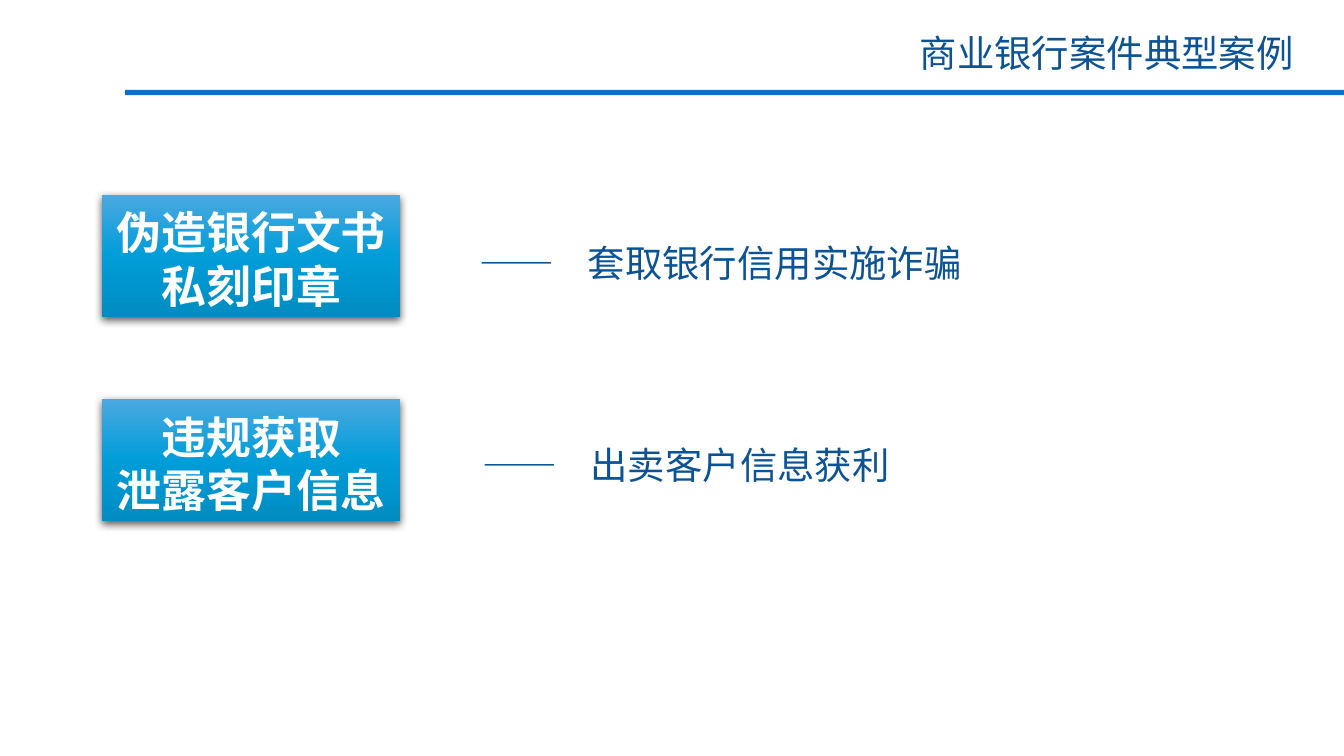
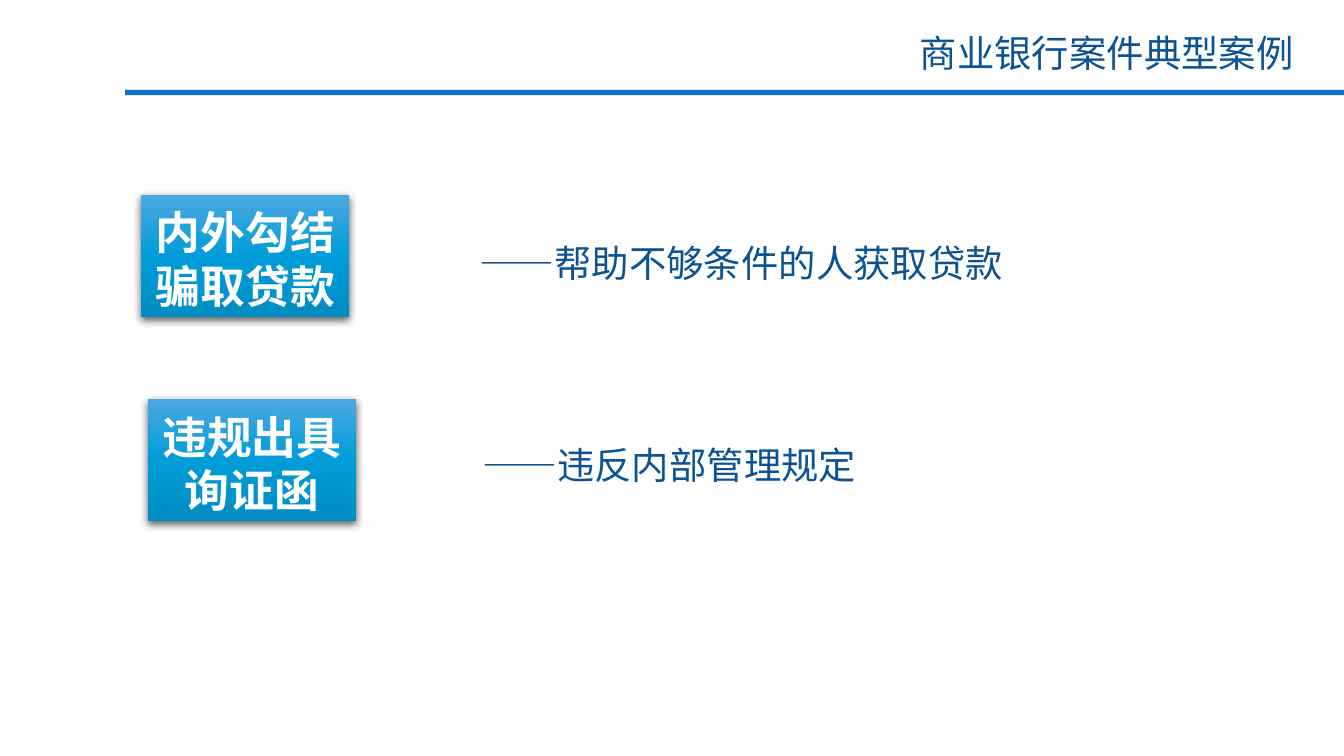
from pptx import Presentation
from pptx.dml.color import RGBColor
from pptx.enum.shapes import MSO_SHAPE
from pptx.enum.text import MSO_ANCHOR, PP_ALIGN
from pptx.oxml import parse_xml
from pptx.oxml.ns import nsdecls, qn
from pptx.util import Pt
from lxml.etree import SubElement

FONT = "Noto Sans CJK SC"
WHITE = "FFFFFF"
BAND_BLUE = "0F6FC6"
TEXT_BLUE = "0B5394"
GRADIENT = [(0, "4BA8E0"), (50, "009DD9"), (100, "008CC1")]

TITLE = "商业银行案件典型案例"
LINE_HEIGHT = 1.2
DASH_GAP = 58
CASE_HEIGHT = 65.5
CASE_TOPS = [104.4, 213.8]
REMARK_PLACES = [(249.8, 123.1), (251.3, 231.1)]

SLIDES = [
    {
        "case_width": 159.8,
        "cases": [
            (54.7, "伪造银行文书\n私刻印章", "——\t套取银行信用实施诈骗"),
            (54.7, "违规获取\n泄露客户信息", "——\t出卖客户信息获利"),
        ],
    },
    {
        "case_width": 111.6,
        "cases": [
            (75.6, "内外勾结\n骗取贷款", "——帮助不够条件的人获取贷款"),
            (79.2, "违规出具\n询证函", "——违反内部管理规定"),
        ],
    },
]


def color(hex_string):
    return RGBColor.from_string(hex_string)


def write_text(shape, text, size, hex_string, alignment, bold=False, wrap=False):
    text_frame = shape.text_frame
    text_frame.text = text
    text_frame.word_wrap = wrap
    text_frame.vertical_anchor = MSO_ANCHOR.TOP
    text_frame.margin_top = Pt(5.5)
    text_frame.margin_bottom = Pt(1.7)
    for paragraph in text_frame.paragraphs:
        paragraph.alignment = alignment
        paragraph.line_spacing = Pt(size * LINE_HEIGHT)
        for run in paragraph.runs:
            run.font.size = Pt(size)
            run.font.bold = bold
            run.font.name = FONT
            run.font.color.rgb = color(hex_string)
            east_asian = SubElement(run.font._element, qn("a:ea"))
            east_asian.set("typeface", FONT)


def add_rectangle(slide, left, top, width, height):
    shape = slide.shapes.add_shape(
        MSO_SHAPE.RECTANGLE, Pt(left), Pt(top), Pt(width), Pt(height))
    shape.shadow.inherit = False
    shape.line.fill.background()
    return shape


def add_header(slide):
    band = add_rectangle(slide, 67, 48.2, 653.8, 2.9)
    band.fill.solid()
    band.fill.fore_color.rgb = color(BAND_BLUE)
    title = slide.shapes.add_textbox(Pt(484.6), Pt(10.8), Pt(216.7), Pt(55.4))
    write_text(title, TITLE, 20, TEXT_BLUE, PP_ALIGN.CENTER)


def apply_gradient(shape):
    stops = "".join(
        f'<a:gs pos="{position * 1000}"><a:srgbClr val="{value}"/></a:gs>'
        for position, value in GRADIENT)
    gradient = parse_xml(
        f'<a:gradFill {nsdecls("a")} rotWithShape="1"><a:gsLst>{stops}</a:gsLst>'
        '<a:lin ang="5400000" scaled="0"/></a:gradFill>')
    shape._element.spPr.find(qn("a:prstGeom")).addnext(gradient)


def apply_shadow(shape):
    effects = shape._element.spPr.find(qn("a:effectLst"))
    effects.append(parse_xml(
        f'<a:outerShdw {nsdecls("a")} blurRad="{Pt(4.5)}" dist="{Pt(1.5)}" '
        'dir="5400000" algn="ctr" rotWithShape="0">'
        '<a:srgbClr val="000000"><a:alpha val="63000"/></a:srgbClr></a:outerShdw>'))


def add_case(slide, left, top, width, text):
    case = add_rectangle(slide, left, top, width, CASE_HEIGHT)
    apply_gradient(case)
    apply_shadow(case)
    write_text(case, text, 24, WHITE, PP_ALIGN.CENTER, bold=True)


def add_remark(slide, left, top, text):
    remark = slide.shapes.add_textbox(Pt(left), Pt(top), Pt(300), Pt(31.5))
    write_text(remark, text, 20, TEXT_BLUE, PP_ALIGN.LEFT, wrap=True)
    if "\t" in text:
        properties = remark.text_frame.paragraphs[0]._p.get_or_add_pPr()
        tabs = SubElement(properties, qn("a:tabLst"))
        SubElement(tabs, qn("a:tab"), pos=str(Pt(DASH_GAP)), algn="l")


def main():
    presentation = Presentation()
    presentation.slide_width = Pt(720)
    presentation.slide_height = Pt(405)
    for content in SLIDES:
        slide = presentation.slides.add_slide(presentation.slide_layouts[6])
        slide.background.fill.solid()
        slide.background.fill.fore_color.rgb = color(WHITE)
        add_header(slide)
        rows = zip(content["cases"], CASE_TOPS, REMARK_PLACES)
        for (left, case, remark), top, (remark_left, remark_top) in rows:
            add_case(slide, left, top, content["case_width"], case)
            add_remark(slide, remark_left, remark_top, remark)
    presentation.save("out.pptx")


if __name__ == "__main__":
    main()
